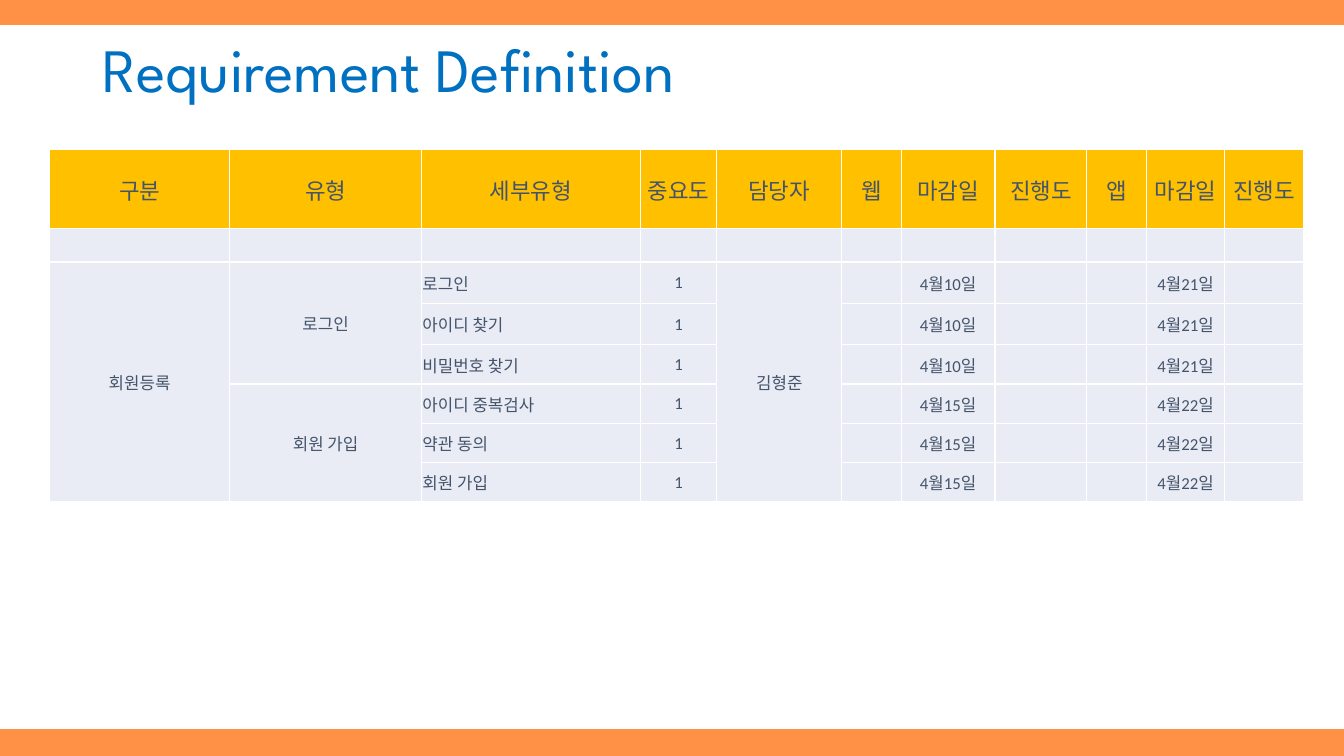
import pptx
import pptx.util
import pptx.dml.color
import pptx.enum.shapes
import pptx.enum.text
import pptx.oxml.ns
from dataclasses import dataclass
from lxml import etree

Inches = pptx.util.Inches
ALIGN = pptx.enum.text.PP_ALIGN
ANCHOR = pptx.enum.text.MSO_ANCHOR
qn = pptx.oxml.ns.qn


@dataclass(frozen=True)
class Theme:
    orange: str = "FF9147"
    white: str = "FFFFFF"
    blue: str = "0070C0"
    ink: str = "44546A"
    amber: str = "FFC000"
    pale: str = "E9EBF5"
    title_font: str = "League Spartan"
    body_font: str = "Calibri"
    title_size: int = 44
    header_size: int = 16
    body_size: int = 12


def rgb(value):
    return pptx.dml.color.RGBColor.from_string(value)


def write(tf, text, *, font, size, color, align=ALIGN.LEFT):
    p = tf.paragraphs[0]
    p.alignment = align
    r = p.add_run()
    r.text = text
    r.font.name = font
    r.font.size = pptx.util.Pt(size)
    r.font.color.rgb = rgb(color)


class SlideBuilder:
    def __init__(self, prs, theme):
        self.theme = theme
        self.s = prs.slides.add_slide(prs.slide_layouts.get_by_name("Title Only"))

    def background(self, color):
        fill = self.s.background.fill
        fill.solid()
        fill.fore_color.rgb = rgb(color)

    def panel(self, x, y, w, h, color):
        sp = self.s.shapes.add_shape(pptx.enum.shapes.MSO_SHAPE.RECTANGLE,
                                     Inches(x), Inches(y), Inches(w), Inches(h))
        sp.shadow.inherit = False
        sp.fill.solid()
        sp.fill.fore_color.rgb = rgb(color)
        sp.line.color.rgb = rgb(color)
        sp.line.width = pptx.util.Pt(1)

    def title(self, text, x, y, w, h):
        sp = self.s.shapes.title
        sp.left, sp.top, sp.width, sp.height = map(Inches, (x, y, w, h))
        sp.element.getparent().append(sp.element)  # bring above the panel
        tf = sp.text_frame
        tf.word_wrap = True
        tf.auto_size = pptx.enum.text.MSO_AUTO_SIZE.SHAPE_TO_FIT_TEXT
        tf.vertical_anchor = ANCHOR.TOP
        t = self.theme
        write(tf, text, font=t.title_font, size=t.title_size, color=t.blue)

    def cell_borders(self, cell, color, width=1):
        tcPr = cell._tc.get_or_add_tcPr()
        for i, side in enumerate(("lnL", "lnR", "lnT", "lnB")):
            ln = etree.Element(qn("a:" + side), w=str(pptx.util.Pt(width)))
            fill = etree.SubElement(ln, qn("a:solidFill"))
            etree.SubElement(fill, qn("a:srgbClr"), val=color)
            tcPr.insert(i, ln)

    def table(self, x, y, widths, heights, rows, merges, left_col):
        t = self.theme
        frame = self.s.shapes.add_table(len(rows), len(widths), Inches(x), Inches(y),
                                        Inches(sum(widths)), Inches(sum(heights)))
        table = frame.table
        for col, w in zip(table.columns, widths):
            col.width = Inches(w)
        for row, h in zip(table.rows, heights):
            row.height = Inches(h)
        for i, row in enumerate(rows):
            for j, text in enumerate(row):
                cell = table.cell(i, j)
                cell.fill.solid()
                cell.fill.fore_color.rgb = rgb(t.pale if i else t.amber)
                cell.margin_left = cell.margin_right = cell.margin_top = Inches(0.01)
                cell.margin_bottom = 0
                cell.vertical_anchor = ANCHOR.MIDDLE
                self.cell_borders(cell, t.white)
                if text:
                    write(cell.text_frame, text, font=t.body_font, color=t.ink,
                          size=t.body_size if i else t.header_size,
                          align=ALIGN.LEFT if i and j == left_col else ALIGN.CENTER)
        for first, last, col in merges:
            table.cell(first, col).merge(table.cell(last, col))


def requirement_rows():
    header = ["구분", "유형", "세부유형", "중요도", "담당자", "웹",
              "마감일", "진행도", "앱", "마감일", "진행도"]
    groups = [
        ("로그인", "4월10일", "4월21일", ["로그인", "아이디 찾기", "비밀번호 찾기"]),
        ("회원 가입", "4월15일", "4월22일", ["아이디 중복검사", "약관 동의", "회원 가입"]),
    ]
    rows = [header, [""] * len(header)]
    for kind, web_due, app_due, details in groups:
        for i, detail in enumerate(details):
            rows.append(["", "" if i else kind, detail, "1", "", "",
                         web_due, "", "", app_due, ""])
    rows[2][0], rows[2][4] = "회원등록", "김형준"
    return rows


def main():
    prs = pptx.Presentation()
    prs.slide_width, prs.slide_height = Inches(13.33), Inches(7.5)
    theme = Theme()
    slide = SlideBuilder(prs, theme)

    # Orange bands around a white panel
    slide.background(theme.orange)
    slide.panel(0, 0.26, 13.33, 6.97, theme.white)

    # Title
    slide.title("Requirement Definition", 0.92, 0.26, 7.33, 0.84)

    # Requirements table; merges are (first row, last row, column)
    slide.table(0.49, 1.48,
                widths=[1.79, 1.9, 2.17, 0.76, 1.24, 0.59, 0.93, 0.91, 0.59, 0.78, 0.78],
                heights=[0.79, 0.33, 0.41, 0.41, 0.39, 0.39, 0.39, 0.39],
                rows=requirement_rows(),
                merges=[(2, 7, 0), (2, 4, 1), (5, 7, 1), (2, 7, 4)],
                left_col=2)
    prs.save("out.pptx")


if __name__ == "__main__":
    main()
